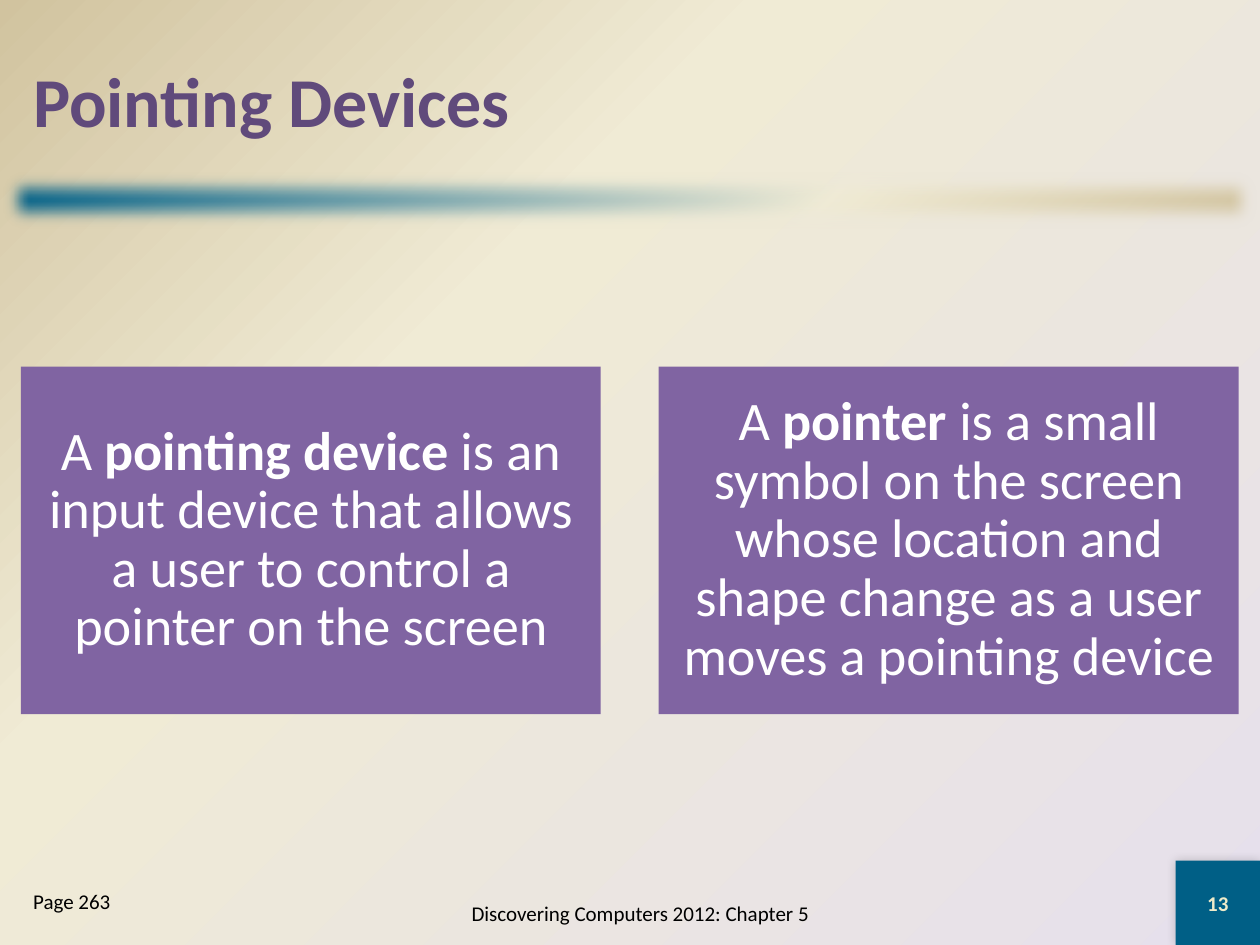
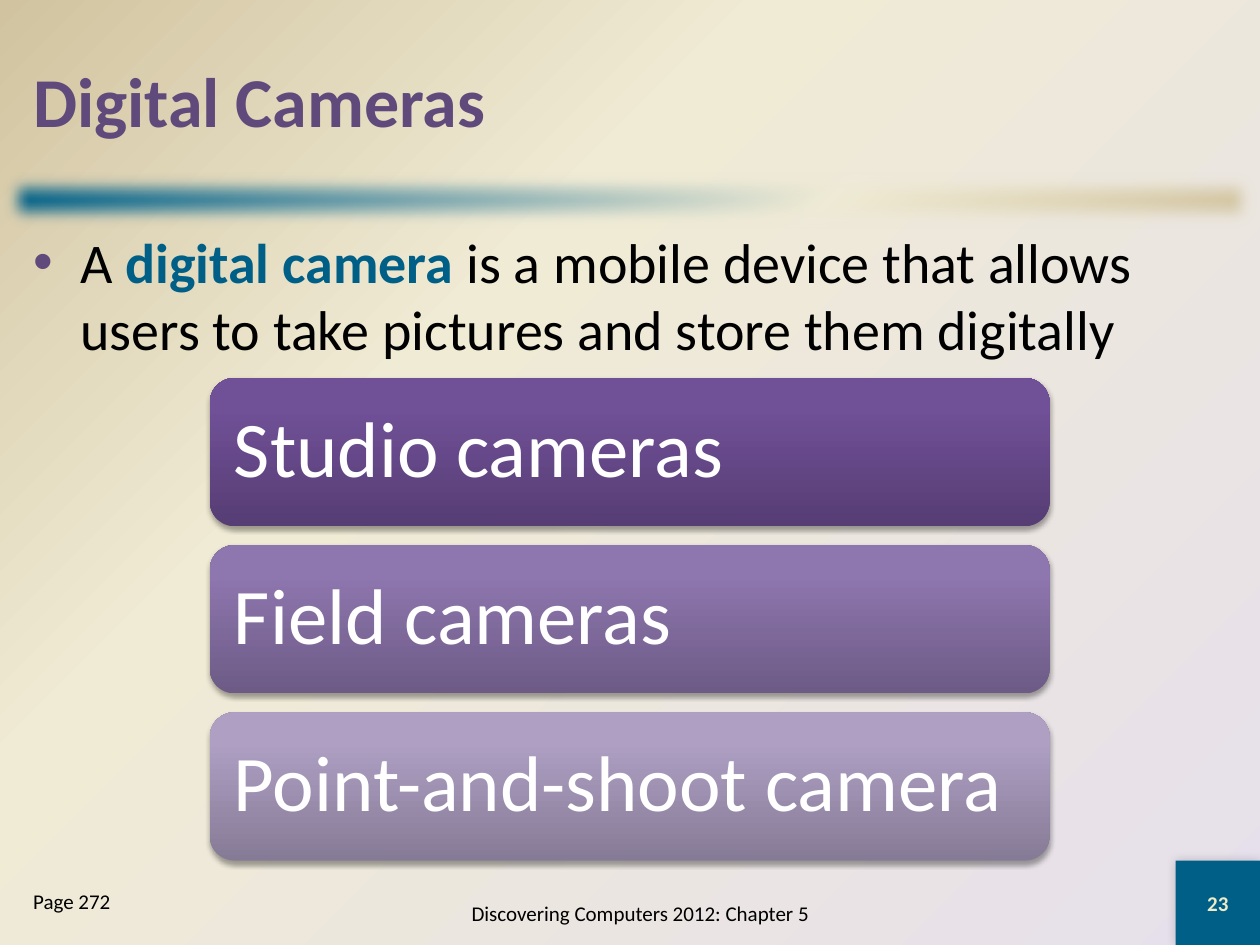
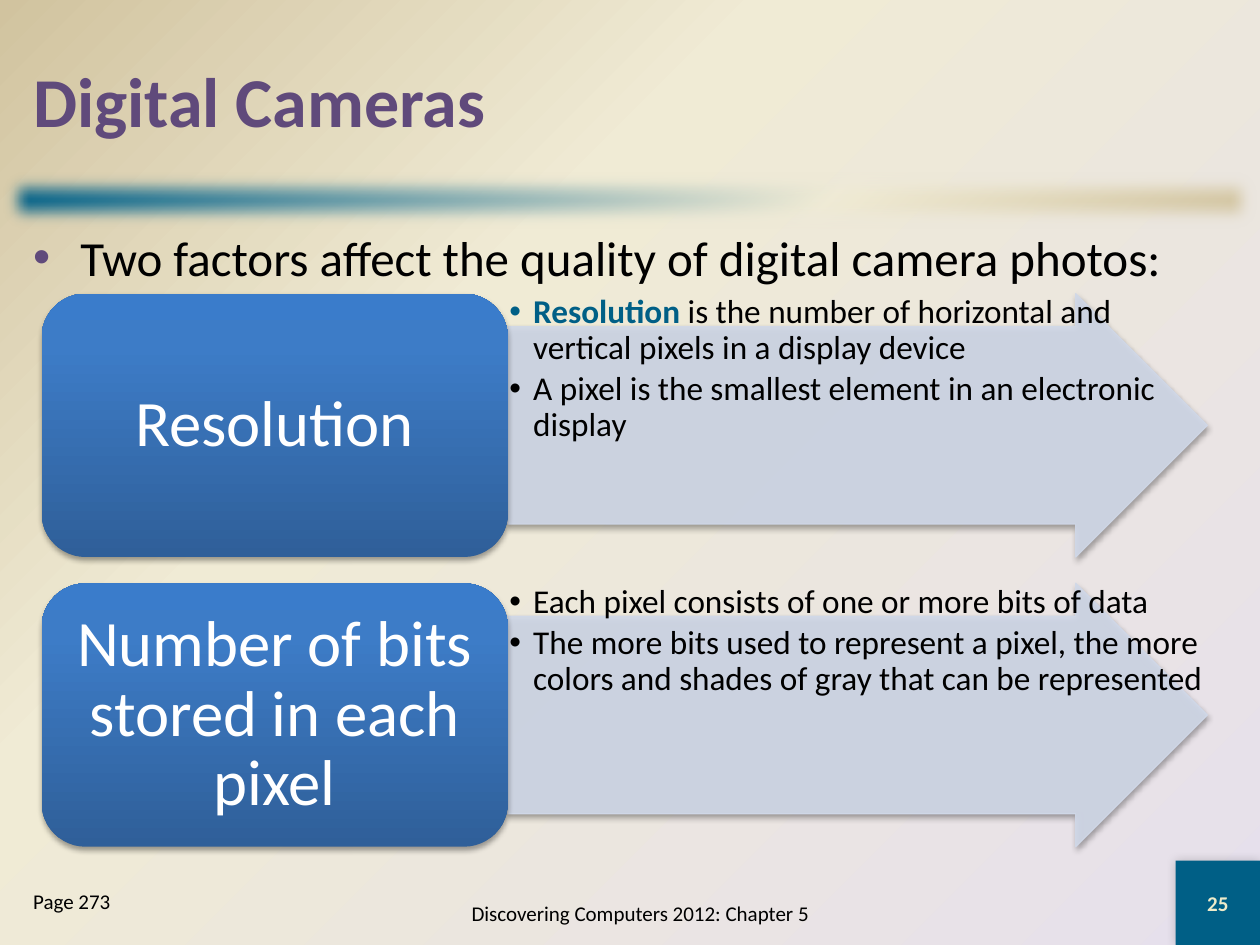
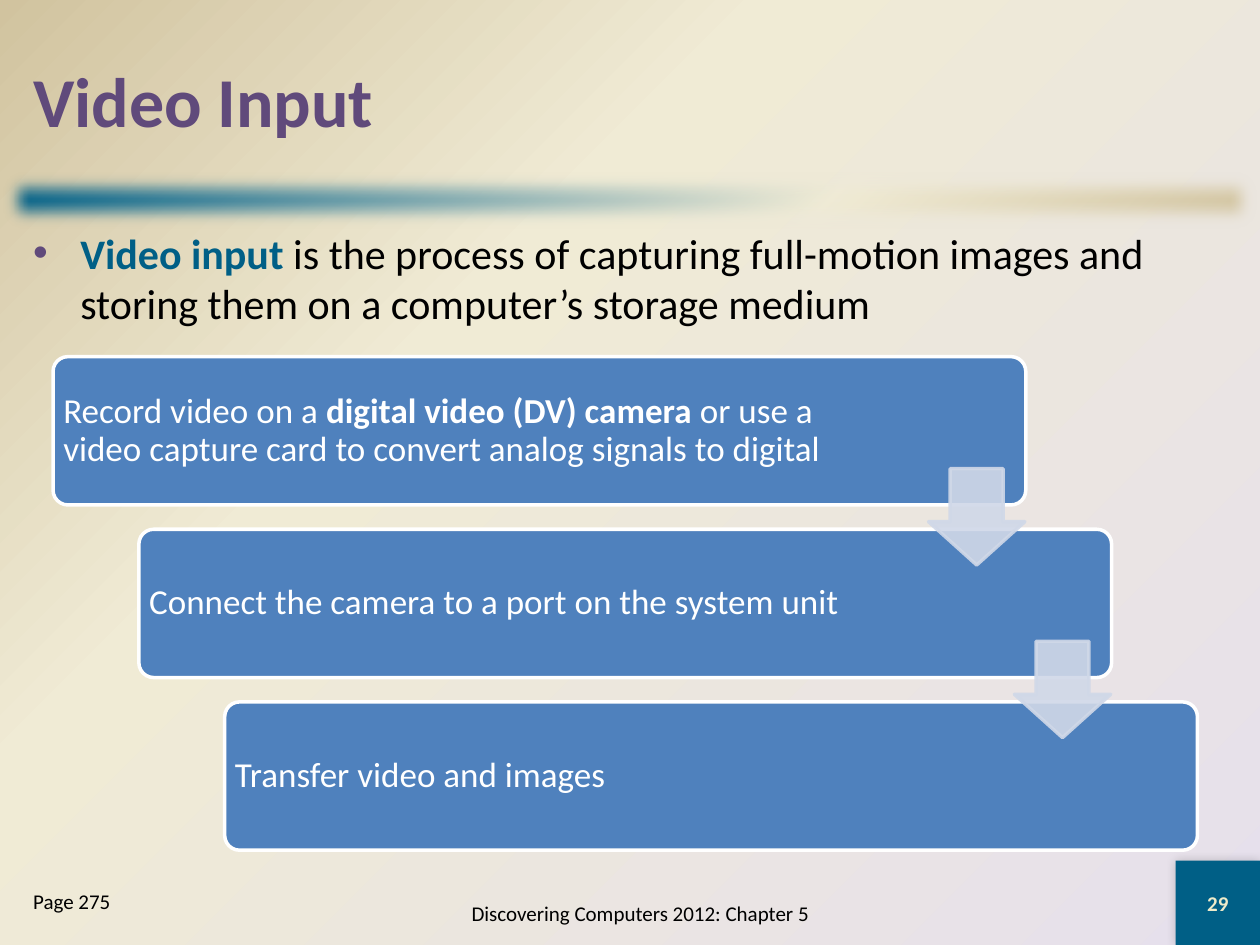
from lxml import etree
from pptx import Presentation, util as u
from pptx.dml.color import RGBColor
from pptx.enum import shapes, text
from pptx.oxml.ns import qn

FONT = "Calibri"
FOOTER = "Discovering Computers 2012: Chapter 5"
COLOURS = {
    "title": "604A7B", "accent": "005F86", "text": "000000", "white": "FFFFFF",
    "number": "EEEBCA", "lilac": "E6E0EC", "cream": "F0EBD5", "sand": "D1C39F",
    "purple": "8064A2", "blue": "4F81BD", "pale": "D0D8E8",
}
BACKDROP = [(0, COLOURS["lilac"]), (65, COLOURS["cream"]), (100, COLOURS["sand"])]
BAND = [(0, COLOURS["accent"])] + BACKDROP[1:]
CAMERA_SHADES = [
    [(0, "563D74"), (80, "705097"), (100, "704F99")],
    [(0, "6D5B86"), (80, "8E76AE"), (100, "8E75B0")],
    [(0, "867B96"), (80, "AE9FC3"), (100, "AE9FC4")],
]
FACTOR_SHADES = [(0, "2F5F99"), (80, "3D7CC7"), (100, "3A7CCB")]
SOFT_SHADOW = dict(alpha=35, blur=3.1, distance=1.8, angle=90)
SHAPE = shapes.MSO_SHAPE
CENTER = text.PP_ALIGN.CENTER
MIDDLE = text.MSO_ANCHOR.MIDDLE


def rgb(name):
    return RGBColor.from_string(COLOURS[name])


def add_element(parent, tag, **attributes):
    values = {key: str(value) for key, value in attributes.items()}
    return etree.SubElement(parent, qn(tag), values)


def paint_gradient(fill, owner, stops, angle=None):
    fill.gradient()
    gradient = owner.find(".//" + qn("a:gradFill"))
    gradient.clear()
    gradient.set("rotWithShape", "1")
    stop_list = add_element(gradient, "a:gsLst")
    for position, colour in stops:
        stop = add_element(stop_list, "a:gs", pos=position * 1000)
        add_element(stop, "a:srgbClr", val=colour)
    if angle is None:
        circle = add_element(gradient, "a:path", path="circle")
        add_element(circle, "a:fillToRect", l=100000, t=100000)
    else:
        add_element(gradient, "a:lin", ang=angle * 60000, scaled=0)


def add_shadow(shape, alpha, blur, distance, angle):
    effects = shape._element.spPr.find(qn("a:effectLst"))
    shadow = add_element(effects, "a:outerShdw", blurRad=u.Pt(blur), dist=u.Pt(distance),
                         dir=angle * 60000, algn="ctr", rotWithShape=0)
    colour = add_element(shadow, "a:srgbClr", val=COLOURS["text"])
    add_element(colour, "a:alpha", val=alpha * 1000)


def add_panel(page, kind, place, colour=None, stops=None, angle=270, line=None,
              width=2, adjust=(), opacity=100):
    panel = page.shapes.add_shape(kind, *map(u.Cm, place))
    panel.shadow.inherit = False
    for index, value in enumerate(adjust):
        panel.adjustments[index] = value
    if stops:
        paint_gradient(panel.fill, panel._element.spPr, stops, angle)
    else:
        panel.fill.solid()
        panel.fill.fore_color.rgb = rgb(colour)
    if line:
        panel.line.color.rgb = rgb(line)
        panel.line.width = u.Pt(width)
    else:
        panel.line.fill.background()
    if opacity < 100:
        for solid in panel._element.spPr.iter(qn("a:solidFill")):
            add_element(solid[0], "a:alpha", val=opacity * 1000)
    return panel


def add_bullet(para, indent, colour=None):
    properties = para._p.get_or_add_pPr()
    properties.set("marL", str(u.Cm(indent)))
    properties.set("indent", str(-u.Cm(indent)))
    if colour:
        bullet_colour = add_element(properties, "a:buClr")
        add_element(bullet_colour, "a:srgbClr", val=COLOURS[colour])
    add_element(properties, "a:buFont", typeface="Arial")
    add_element(properties, "a:buChar", char="•")


def write(shape, paragraphs, size, colour, strong=None, align=text.PP_ALIGN.LEFT,
          anchor=text.MSO_ANCHOR.TOP, insets=(0.25, 0.13, 0.25, 0.13),
          spacing=None, after=0, bullet=None, bullet_colour=None):
    frame = shape.text_frame
    frame.word_wrap = True
    frame.vertical_anchor = anchor
    frame.margin_left, frame.margin_top, frame.margin_right, frame.margin_bottom = map(u.Cm, insets)
    for index, spans in enumerate(paragraphs):
        para = frame.paragraphs[0] if index == 0 else frame.add_paragraph()
        if bullet:
            add_bullet(para, bullet, bullet_colour)
        para.alignment = align
        para.line_spacing = spacing
        para.space_after = u.Pt(after)
        for words, bold in spans:
            span = para.add_run()
            span.text = words
            span.font.name = FONT
            span.font.size = u.Pt(size)
            span.font.bold = bold
            span.font.color.rgb = rgb(strong if bold and strong else colour)


def plain(words):
    return [[(words, False)]]


def add_text(page, place, *content, **style):
    box = page.shapes.add_textbox(*map(u.Cm, place))
    write(box, *content, **style)


def add_page(deck, title, number, reference):
    page = deck.slides.add_slide(deck.slide_layouts[6])
    band = add_panel(page, SHAPE.RECTANGLE, (0, 3.39, 25.4, 1.27), stops=BAND, angle=45)
    effects = band._element.spPr.find(qn("a:effectLst"))
    add_element(effects, "a:softEdge", rad=u.Pt(10))
    corner = add_panel(page, SHAPE.RECTANGLE, (23.7, 17.35, 1.7, 1.7), "accent")
    add_shadow(corner, alpha=20, blur=6, distance=0, angle=225)
    write(corner, [[(str(number), True)]], 12, "number", align=CENTER, anchor=MIDDLE)
    add_text(page, (0.42, 0.42, 24.57, 3.18), [[(title, True)]], 40, "title", anchor=MIDDLE)
    add_text(page, (7.62, 17.78, 10.58, 1.27), plain(FOOTER), 12, "text",
             align=CENTER, anchor=MIDDLE)
    add_text(page, (0.42, 17.78, 4.66, 1.27), plain(f"Page {reference}"), 12, "text")
    return page


def add_lead(page, spans, size):
    add_text(page, (0.42, 4.45, 24.57, 12.9), [spans], size, "text", strong="accent",
             bullet=0.95, bullet_colour="title")


def add_definitions(page, definitions):
    for index, spans in enumerate(definitions):
        panel = add_panel(page, SHAPE.RECTANGLE, (0.42 + index * 12.86, 7.39, 11.69, 7.01), "purple")
        write(panel, [spans], 31, "white", align=CENTER, anchor=MIDDLE,
              insets=[0.33] * 4, spacing=0.9)


def add_camera_list(page, names):
    for index, (name, stops) in enumerate(zip(names, CAMERA_SHADES)):
        panel = add_panel(page, SHAPE.ROUNDED_RECTANGLE,
                          (4.23, 7.62 + index * 3.37, 16.93, 2.99), stops=stops)
        add_shadow(panel, **SOFT_SHADOW)
        write(panel, plain(name), 45, "white", anchor=MIDDLE, insets=[0.34] * 4, spacing=0.9)


def add_factors(page, factors):
    for index, (name, details) in enumerate(factors):
        top = 5.92 + index * 5.84
        arrow_place = (10.24, top, 14.1, 5.31)
        arrow = add_panel(page, SHAPE.RIGHT_ARROW, arrow_place, "pale", line="pale",
                          width=0.75, adjust=(0.75, 0.5), opacity=90)
        add_shadow(arrow, **SOFT_SHADOW)
        add_text(page, arrow_place, details, 19, "text", strong="accent",
                 insets=[0.03] * 4, spacing=0.9, after=2.85, bullet=0.48)
        panel = add_panel(page, SHAPE.ROUNDED_RECTANGLE, (0.84, top, 9.4, 5.31), stops=FACTOR_SHADES)
        add_shadow(panel, **SOFT_SHADOW)
        write(panel, plain(name), 37, "white", align=CENTER, anchor=MIDDLE,
              insets=(0.12, 0, 0.12, 0), spacing=0.9)


def add_steps(page, steps):
    offsets = [(index * 1.73, index * 3.48) for index in range(len(steps))]
    for (across, down), spans in zip(offsets, steps):
        panel = add_panel(page, SHAPE.ROUNDED_RECTANGLE, (1.07 + across, 7.19 + down, 19.61, 2.99),
                          "blue", line="white", adjust=[0.1])
        write(panel, [spans], 20, "white", anchor=MIDDLE, insets=(0.12, 0.12, 3.2, 0.12), spacing=0.9)
    for across, down in offsets[:-1]:
        add_panel(page, SHAPE.DOWN_ARROW, (18.72 + across, 9.45 + down, 1.94, 1.94),
                  "pale", line="pale", adjust=(0.55, 0.45), opacity=90)


def main():
    deck = Presentation()
    deck.slide_width, deck.slide_height = u.Cm(25.4), u.Cm(19.05)
    master = deck.slide_master
    paint_gradient(master.background.fill, master._element, BACKDROP)

    page = add_page(deck, "Pointing Devices", 13, 263)
    add_definitions(page, [
        [("A ", False), ("pointing device", True),
         (" is an input device that allows a user to control a pointer on the screen", False)],
        [("A ", False), ("pointer", True),
         (" is a small symbol on the screen whose location and shape change"
          " as a user moves a pointing device", False)],
    ])

    page = add_page(deck, "Digital Cameras", 23, 272)
    add_lead(page, [("A ", False), ("digital camera ", True),
                    ("is a mobile device that allows users to take pictures"
                     " and store them digitally", False)], 32)
    add_camera_list(page, ["Studio cameras", "Field cameras", "Point-and-shoot camera"])

    page = add_page(deck, "Digital Cameras", 25, 273)
    add_lead(page, [("Two factors affect the quality of digital camera photos:", False)], 28)
    add_factors(page, [
        ("Resolution", [
            [("Resolution", True),
             (" is the number of horizontal and vertical pixels in a display device", False)],
            [("A pixel is the smallest element in an electronic display", False)],
        ]),
        ("Number of bits stored in each pixel", [
            [("Each pixel consists of one or more bits of data", False)],
            [("The more bits used to represent a pixel, the more colors and shades"
              " of gray that can be represented", False)],
        ]),
    ])

    page = add_page(deck, "Video Input", 29, 275)
    add_lead(page, [("Video input ", True),
                    ("is the process of capturing full-motion images and storing them"
                     " on a computer’s storage medium", False)], 24)
    add_steps(page, [
        [("Record video on a ", False), ("digital video (DV) camera ", True),
         ("or use a video capture card to convert analog signals to digital", False)],
        [("Connect the camera to a port on the system unit", False)],
        [("Transfer video and images", False)],
    ])
    deck.save("out.pptx")


if __name__ == "__main__":
    main()
